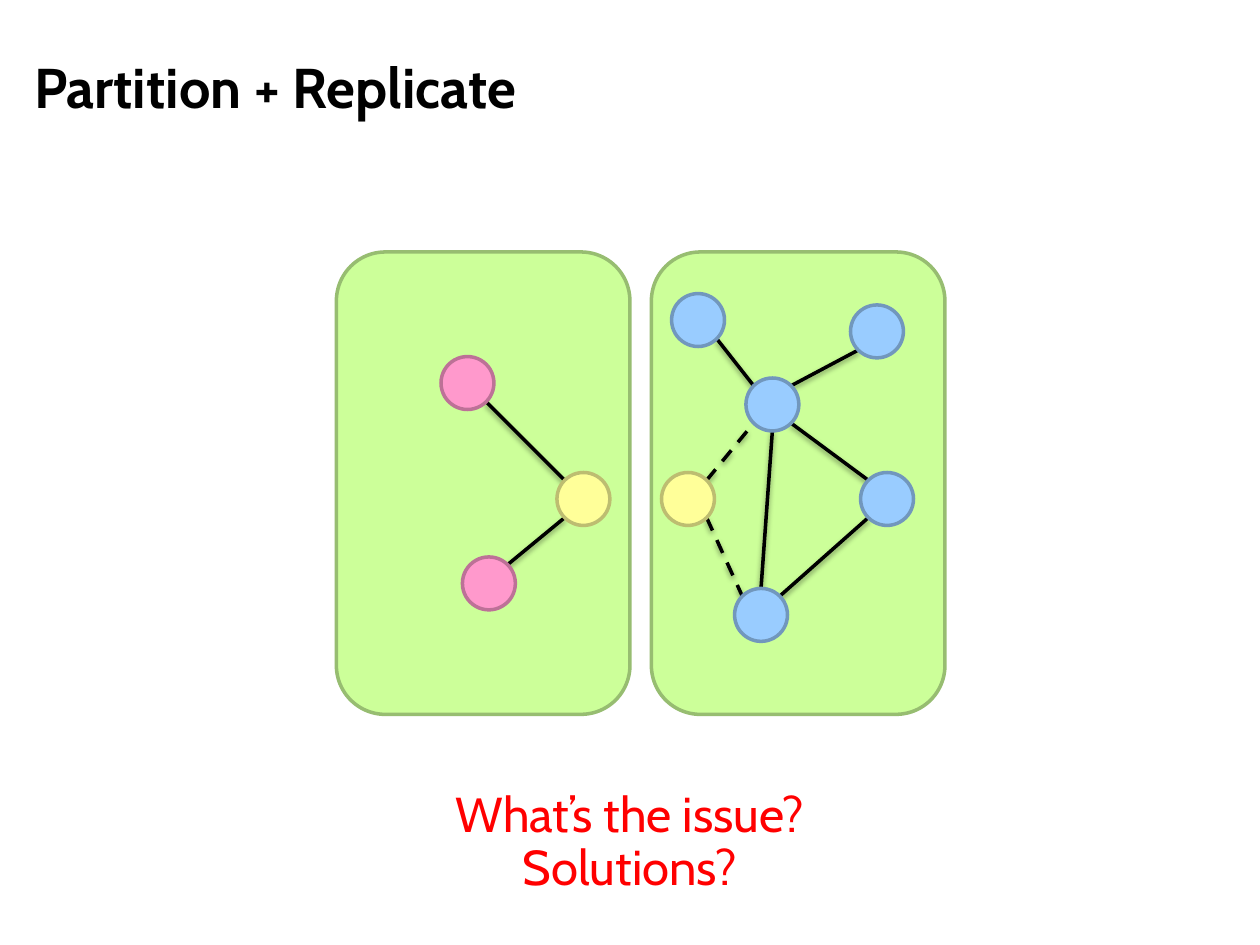
import math
from dataclasses import dataclass

import lxml.etree
import pptx
import pptx.dml.color
import pptx.enum.dml
import pptx.enum.shapes
import pptx.enum.text
import pptx.oxml
import pptx.oxml.ns
import pptx.util

Inches = pptx.util.Inches
Kind = pptx.enum.shapes.MSO_SHAPE
Align = pptx.enum.text.PP_ALIGN


@dataclass(frozen=True)
class Theme:
    font: str = "Cabin"
    black: str = "000000"
    red: str = "FF0000"
    green: tuple = ("CCFF99", "97BD71")
    pink: tuple = ("FF99CC", "BD7197")
    gold: tuple = ("FFFF99", "BDBD71")
    blue: tuple = ("99CCFF", "7197BD")
    head: int = 32
    body: int = 28
    line: int = 2


def color(code):
    return pptx.dml.color.RGBColor.from_string(code)


def write(frame, text, *, font, size, fill, bold=False, align=Align.LEFT):
    frame.word_wrap = True
    para = frame.paragraphs[0]
    para.alignment = align
    run = para.add_run()
    run.text = text
    run.font.name = font
    run.font.size = pptx.util.Pt(size)
    run.font.bold = bold
    run.font.color.rgb = color(fill)


class Board:
    """Draws styled elements on the current slide."""

    SIZE = 0.42
    TURNS = {"e": 0, "se": 45, "s": 90, "sw": 135, "w": 180, "nw": 225, "n": 270, "ne": 315}

    def __init__(self, slide, theme):
        self.slide = slide
        self.theme = theme

    def title(self, text, left, top, width, height):
        shape = self.slide.shapes.title
        shape.left, shape.top = Inches(left), Inches(top)
        shape.width, shape.height = Inches(width), Inches(height)
        frame = shape.text_frame
        frame.auto_size = pptx.enum.text.MSO_AUTO_SIZE.NONE
        frame.vertical_anchor = pptx.enum.text.MSO_ANCHOR.MIDDLE
        write(frame, text, font=self.theme.font, size=self.theme.head,
              fill=self.theme.black, bold=True)

    def label(self, text, left, top, width, height):
        box = self.slide.shapes.add_textbox(
            Inches(left), Inches(top), Inches(width), Inches(height))
        write(box.text_frame, text, font=self.theme.font, size=self.theme.body,
              fill=self.theme.red, align=Align.CENTER)

    def shape(self, kind, left, top, width, height, tint):
        shape = self.slide.shapes.add_shape(
            kind, Inches(left), Inches(top), Inches(width), Inches(height))
        shape.shadow.inherit = False
        shape.fill.solid()
        shape.fill.fore_color.rgb = color(tint[0])
        shape.line.color.rgb = color(tint[1])
        shape.line.width = pptx.util.Pt(self.theme.line)

    def panel(self, left, top, width, height):
        self.shape(Kind.ROUNDED_RECTANGLE, left, top, width, height, self.theme.green)

    def node(self, left, top, tint):
        self.shape(Kind.OVAL, left, top, self.SIZE, self.SIZE, tint)

    def rim(self, spot, side):
        half = self.SIZE / 2
        turn = math.radians(self.TURNS[side])
        return (Inches(spot[0] + half + half * math.cos(turn)),
                Inches(spot[1] + half + half * math.sin(turn)))

    def edge(self, start, out, end, into, dash=False):
        line = self.slide.shapes.add_connector(
            pptx.enum.shapes.MSO_CONNECTOR.STRAIGHT,
            *self.rim(start, out), *self.rim(end, into))
        line.line.color.rgb = color(self.theme.black)
        line.line.width = pptx.util.Pt(self.theme.line)
        if dash:
            line.line.dash_style = pptx.enum.dml.MSO_LINE.DASH
        self.shade(line)

    def shade(self, line):
        name = pptx.oxml.ns.qn
        props = line._element.spPr
        group = lxml.etree.SubElement(props, name("a:effectLst"))
        cast = lxml.etree.SubElement(
            group, name("a:outerShdw"), blurRad=str(pptx.util.Pt(3.1)),
            dist=str(pptx.util.Pt(1.6)), dir="5400000", rotWithShape="0")
        tone = lxml.etree.SubElement(cast, name("a:srgbClr"), val=self.theme.black)
        lxml.etree.SubElement(tone, name("a:alpha"), val="38000")


def main():
    deck = pptx.Presentation()
    deck.slide_width, deck.slide_height = Inches(10), Inches(7.5)
    theme = Theme()
    board = Board(deck.slides.add_slide(deck.slide_layouts[5]), theme)

    for left in (2.67, 5.17):
        board.panel(left, 2, 2.33, 3.67)
    board.title("Partition + Replicate", 0.17, 0.12, 9.5, 1.12)

    nodes = {
        "pink top": (3.5, 2.83, theme.pink),
        "pink low": (3.67, 4.42, theme.pink),
        "gold": (4.42, 3.75, theme.gold),
        "gold twin": (5.25, 3.75, theme.gold),
        "hub": (5.92, 3, theme.blue),
        "blue left": (5.33, 2.33, theme.blue),
        "blue top": (6.75, 2.42, theme.blue),
        "blue right": (6.83, 3.75, theme.blue),
        "blue low": (5.83, 4.67, theme.blue),
    }
    edges = [
        ("pink top", "se", "gold", "nw", False),
        ("gold", "sw", "pink low", "ne", False),
        ("gold twin", "ne", "hub", "sw", True),
        ("gold twin", "se", "blue low", "nw", True),
        ("blue left", "se", "hub", "nw", False),
        ("blue top", "sw", "hub", "ne", False),
        ("blue right", "sw", "blue low", "ne", False),
        ("blue right", "nw", "hub", "se", False),
        ("hub", "s", "blue low", "n", False),
    ]
    for start, out, end, into, dash in edges:
        board.edge(nodes[start], out, nodes[end], into, dash)
    for left, top, tint in nodes.values():
        board.node(left, top, tint)

    for text, top in (("What’s the issue?", 6.17), ("Solutions?", 6.59)):
        board.label(text, 0, top, 10, 0.57)
    deck.save("out.pptx")


if __name__ == "__main__":
    main()
